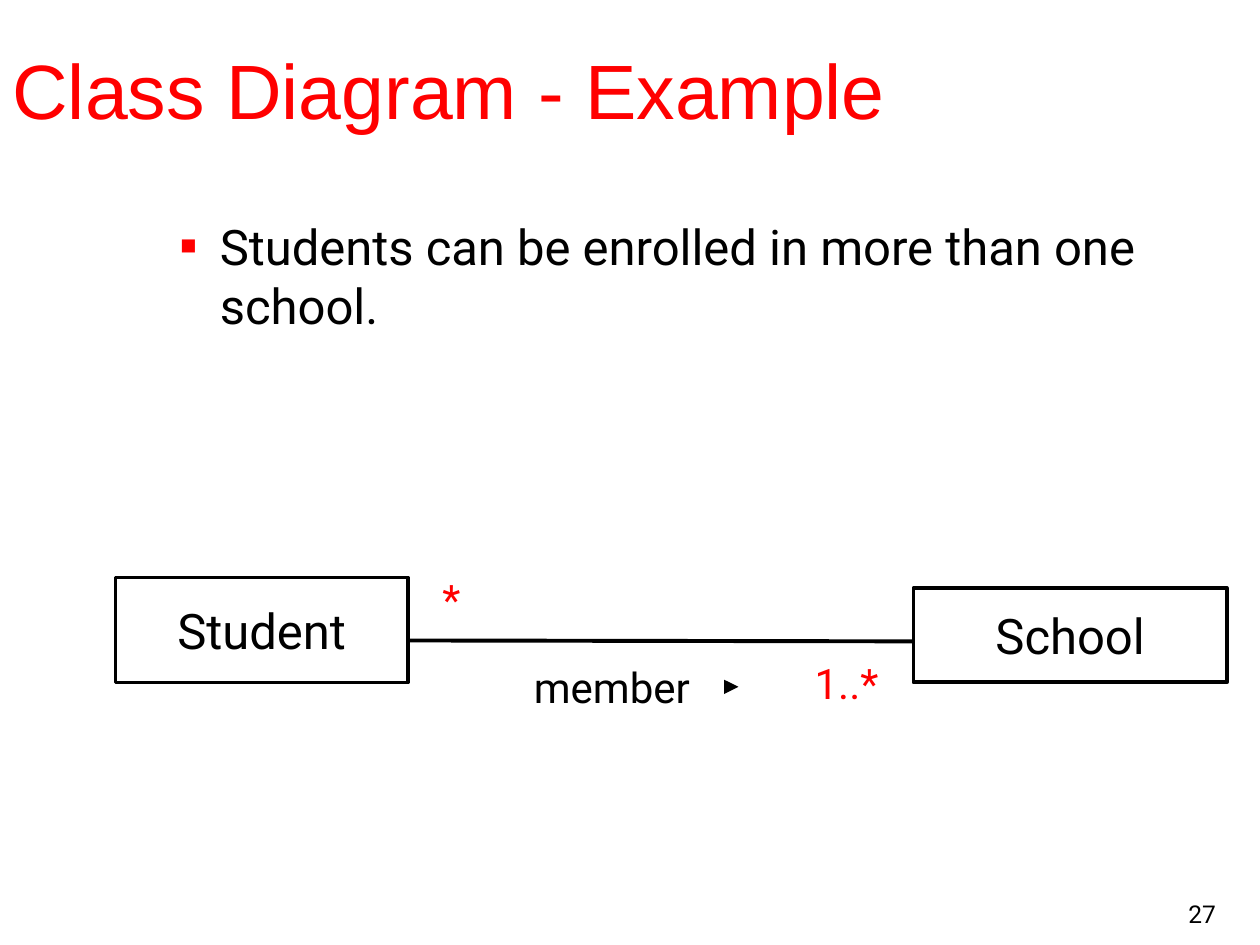
from lxml import etree
from pptx import Presentation
from pptx.dml.color import RGBColor
from pptx.enum.shapes import MSO_CONNECTOR, MSO_SHAPE
from pptx.enum.text import MSO_ANCHOR, PP_ALIGN
from pptx.oxml.ns import qn
from pptx.util import Pt

RED = RGBColor(0xFF, 0x00, 0x00)
BLACK = RGBColor(0x00, 0x00, 0x00)
WHITE = RGBColor(0xFF, 0xFF, 0xFF)
LEFT, CENTER, RIGHT = PP_ALIGN.LEFT, PP_ALIGN.CENTER, PP_ALIGN.RIGHT
TOP, MIDDLE, BOTTOM = MSO_ANCHOR.TOP, MSO_ANCHOR.MIDDLE, MSO_ANCHOR.BOTTOM
RECTANGLE = MSO_SHAPE.RECTANGLE
STRAIGHT = MSO_CONNECTOR.STRAIGHT
LINE_WIDTH = 2.25


def write_text(shape, text, size, color=BLACK, font="Roboto",
               align=LEFT, anchor=TOP, wrap=True):
    frame = shape.text_frame
    frame.word_wrap = wrap
    frame.vertical_anchor = anchor
    paragraph = frame.paragraphs[0]
    paragraph.alignment = align
    run = paragraph.add_run()
    run.text = text
    run.font.name = font
    run.font.size = Pt(size)
    run.font.color.rgb = color
    return paragraph


def add_label(slide, bounds, text, size, **style):
    box = slide.shapes.add_textbox(*map(Pt, bounds))
    return write_text(box, text, size, **style)


def add_bullet(paragraph):
    paragraph.space_before = Pt(7)
    properties = paragraph._p.get_or_add_pPr()
    properties.set("marL", str(Pt(58.5)))
    properties.set("indent", str(Pt(-22.5)))
    color = etree.SubElement(properties, qn("a:buClr"))
    etree.SubElement(color, qn("a:srgbClr"), val=str(RED))
    etree.SubElement(properties, qn("a:buSzPct"), val="55000")
    etree.SubElement(properties, qn("a:buFont"), typeface="Arial")
    etree.SubElement(properties, qn("a:buChar"), char="■")


def add_class_box(slide, bounds, name):
    shape = slide.shapes.add_shape(RECTANGLE, *map(Pt, bounds))
    shape.shadow.inherit = False
    shape.fill.solid()
    shape.fill.fore_color.rgb = WHITE
    shape.line.color.rgb = BLACK
    shape.line.width = Pt(LINE_WIDTH)
    write_text(shape, name, 28, align=CENTER, anchor=MIDDLE, wrap=False)


def add_line(slide, ends, width=LINE_WIDTH, arrow=False):
    connector = slide.shapes.add_connector(STRAIGHT, *map(Pt, ends))
    connector.line.color.rgb = BLACK
    connector.line.width = Pt(width)
    if arrow:
        line = connector.line._get_or_add_ln()
        etree.SubElement(line, qn("a:tailEnd"), type="triangle")
    etree.SubElement(connector._element.spPr, qn("a:effectLst"))


def main():
    presentation = Presentation()
    presentation.slide_width = Pt(720)
    presentation.slide_height = Pt(540)
    slide = presentation.slides.add_slide(presentation.slide_layouts[6])

    add_label(slide, (0, 12, 692, 78), "Class Diagram - Example", 44,
              color=RED, font="Arial", anchor=MIDDLE)
    statement = add_label(slide, (60, 120, 636, 351),
                          "Students can be enrolled in more than one school.", 28)
    add_bullet(statement)

    add_class_box(slide, (66, 330, 167, 60), "Student")
    add_class_box(slide, (522, 336, 179, 54), "School")
    add_line(slide, (234, 366, 522, 366.5))

    add_label(slide, (298, 374.5, 120, 36), "member", 24)
    add_line(slide, (418.5, 392.5, 422, 392.5), width=2.75, arrow=True)
    add_label(slide, (240, 324, 36, 36), "*", 24, color=RED, align=CENTER)
    add_label(slide, (456, 372, 55.5, 36), "1..*", 24, color=RED, align=CENTER)

    add_label(slide, (552, 498, 150, 36), "27", 14, align=RIGHT, anchor=BOTTOM)
    presentation.save("out.pptx")


if __name__ == "__main__":
    main()
